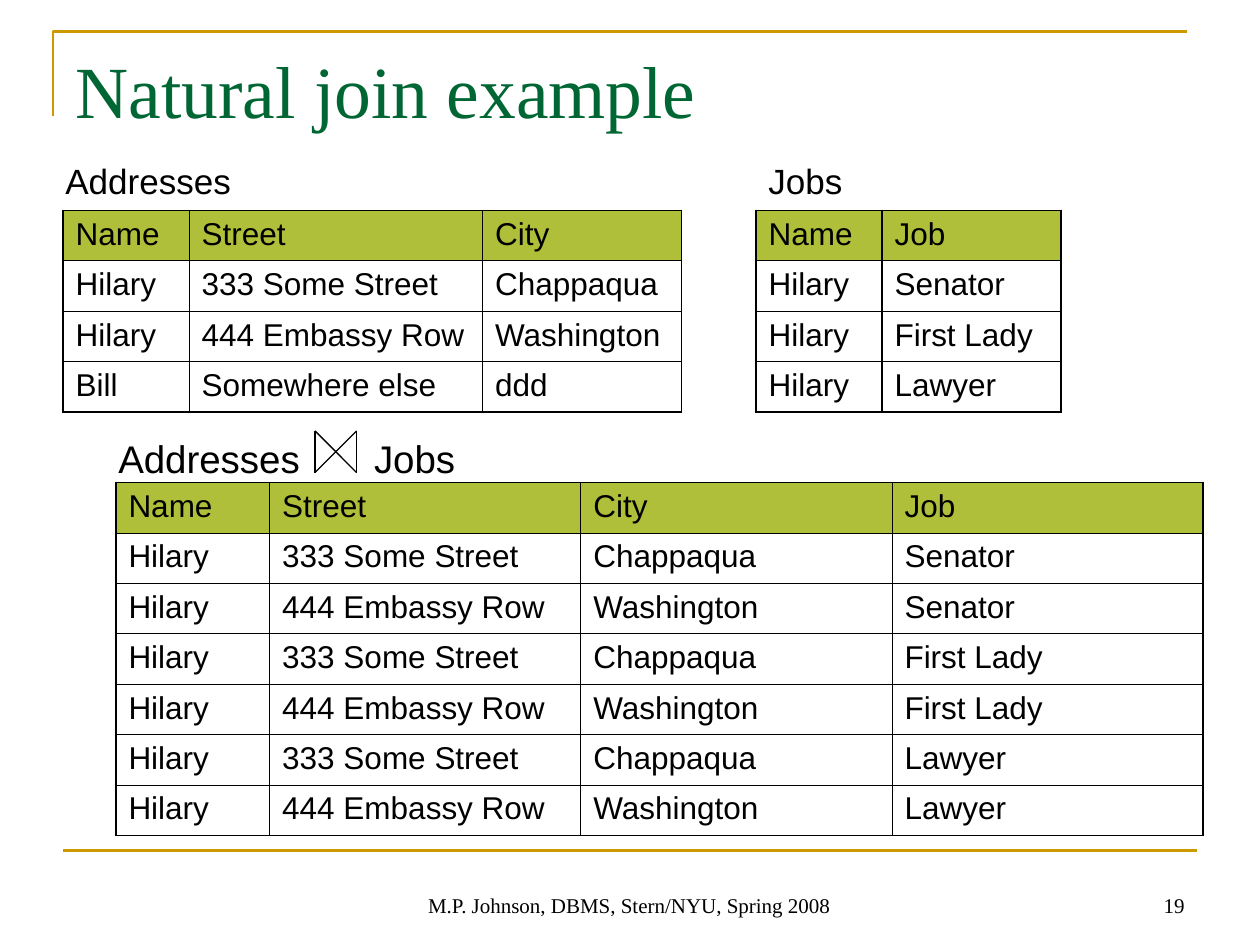
import itertools
from dataclasses import dataclass

import pptx
import pptx.dml.color
import pptx.enum.shapes
import pptx.enum.text
import pptx.oxml
import pptx.oxml.ns
import pptx.util
from pptx.util import Inches

COLORS = {
    "black": "000000",
    "title": "006633",
    "rule": "CC9900",
    "header": "AFBF39",
}
SERIF = "Times New Roman"
SANS = "Arial"
ROW_HEIGHT = 0.4
THIN = 0.45
THICK = 1.08

ALIGN = pptx.enum.text.PP_ALIGN
ANCHOR = pptx.enum.text.MSO_ANCHOR


@dataclass
class Label:
    text: str
    left: float
    top: float
    width: float
    height: float
    size: int
    font: str = SANS
    align: ALIGN = ALIGN.LEFT
    anchor: ANCHOR = ANCHOR.TOP
    tab: float = 0


@dataclass
class Relation:
    left: float
    top: float
    widths: list[float]
    rows: list[tuple[str, ...]]
    divider: float = THIN


ADDRESSES = [
    ("Name", "Street", "City"),
    ("Hilary", "333 Some Street", "Chappaqua"),
    ("Hilary", "444 Embassy Row", "Washington"),
    ("Bill", "Somewhere else", "ddd"),
]
JOBS = [
    ("Name", "Job"),
    ("Hilary", "Senator"),
    ("Hilary", "First Lady"),
    ("Hilary", "Lawyer"),
]
JOINED = [ADDRESSES[0] + JOBS[0][1:]] + [
    address + job[1:]
    for job, address in itertools.product(JOBS[1:], ADDRESSES[1:])
    if address[0] == job[0]
]

RELATIONS = [
    Relation(0.5, 1.67, [1, 2.33, 1.58], ADDRESSES),
    Relation(6, 1.67, [1, 1.42], JOBS, THICK),
    Relation(0.92, 3.83, [1.22, 2.47, 2.47, 2.47], JOINED),
]
LABELS = [
    Label("M.P. Johnson, DBMS, Stern/NYU, Spring 2008", 3.08, 6.83, 3.83, 0.5,
          12, SERIF, ALIGN.CENTER, ANCHOR.BOTTOM),
    Label("19", 7.17, 6.83, 2.33, 0.5, 12, SERIF, ALIGN.RIGHT, ANCHOR.BOTTOM),
    Label("Addresses", 0.42, 1.22, 1.65, 0.44, 20),
    Label("Jobs", 6, 1.22, 0.9, 0.44, 20),
    Label("Addresses\tJobs", 0.84, 3.4, 2.88, 0.47, 22, tab=2.03),
]


def rgb(name: str) -> pptx.dml.color.RGBColor:
    return pptx.dml.color.RGBColor.from_string(COLORS[name])


def add_run(paragraph, text: str, size: int, font: str, color: str) -> None:
    run = paragraph.add_run()
    run.text = text
    run.font.size = pptx.util.Pt(size)
    run.font.name = font
    run.font.color.rgb = rgb(color)


def add_label(slide, label: Label) -> None:
    box = slide.shapes.add_textbox(
        Inches(label.left), Inches(label.top), Inches(label.width), Inches(label.height)
    )
    frame = box.text_frame
    frame.word_wrap = True
    frame.vertical_anchor = label.anchor
    paragraph = frame.paragraphs[0]
    paragraph.alignment = label.align
    if label.tab:
        tabs = pptx.oxml.parse_xml(
            f'<a:tabLst {pptx.oxml.ns.nsdecls("a")}>'
            f'<a:tab pos="{Inches(label.tab)}" algn="l"/></a:tabLst>'
        )
        paragraph._p.get_or_add_pPr().append(tabs)
    add_run(paragraph, label.text, label.size, label.font, "black")


def set_borders(cell, widths: dict[str, float]) -> None:
    properties = cell._tc.get_or_add_tcPr()
    for side, width in widths.items():
        properties.append(pptx.oxml.parse_xml(
            f'<a:ln{side} {pptx.oxml.ns.nsdecls("a")} w="{pptx.util.Pt(width)}">'
            f'<a:solidFill><a:srgbClr val="{COLORS["black"]}"/></a:solidFill>'
            f'</a:ln{side}>'
        ))


def add_relation(slide, relation: Relation) -> None:
    row_count, column_count = len(relation.rows), len(relation.widths)
    table = slide.shapes.add_table(
        row_count, column_count, Inches(relation.left), Inches(relation.top),
        Inches(sum(relation.widths)), Inches(ROW_HEIGHT * row_count),
    ).table
    table.first_row = False
    table.horz_banding = False
    for column, width in zip(table.columns, relation.widths):
        column.width = Inches(width)
    for row_index, values in enumerate(relation.rows):
        table.rows[row_index].height = Inches(ROW_HEIGHT)
        for column_index, value in enumerate(values):
            cell = table.cell(row_index, column_index)
            set_borders(cell, {
                "L": THICK if column_index == 0 else relation.divider,
                "R": THICK if column_index == column_count - 1 else relation.divider,
                "T": THICK if row_index == 0 else THIN,
                "B": THICK if row_index == row_count - 1 else THIN,
            })
            if row_index == 0:
                cell.fill.solid()
                cell.fill.fore_color.rgb = rgb("header")
            else:
                cell.fill.background()
            add_run(cell.text_frame.paragraphs[0], value, 18, SANS, "black")


def add_line(shapes, start: tuple[float, float], end: tuple[float, float],
             color: str, width: float) -> None:
    line = shapes.add_connector(
        pptx.enum.shapes.MSO_CONNECTOR.STRAIGHT, *map(Inches, start + end)
    )
    line.line.color.rgb = rgb(color)
    line.line.width = pptx.util.Pt(width)
    line._element.spPr.append(
        pptx.oxml.parse_xml(f'<a:effectLst {pptx.oxml.ns.nsdecls("a")}/>')
    )


def add_corner_rule(slide) -> None:
    builder = slide.shapes.build_freeform(Inches(0.42), Inches(0.92))
    builder.add_line_segments(
        [(Inches(0.42), Inches(0.25)), (Inches(9.42), Inches(0.25))], close=False
    )
    corner = builder.convert_to_shape()
    corner.shadow.inherit = False
    corner.fill.background()
    corner.line.color.rgb = rgb("rule")
    corner.line.width = pptx.util.Pt(1.5)


def format_title(title) -> None:
    title.left, title.top = Inches(0.5), Inches(0.3)
    title.width, title.height = Inches(9), Inches(0.78)
    frame = title.text_frame
    frame.vertical_anchor = ANCHOR.BOTTOM
    frame.margin_bottom = Inches(0.02)
    frame.auto_size = pptx.enum.text.MSO_AUTO_SIZE.NONE
    paragraph = frame.paragraphs[0]
    paragraph.alignment = ALIGN.LEFT
    add_run(paragraph, "Natural join example", 42, SERIF, "title")


def add_join_symbol(slide) -> None:
    group = slide.shapes.add_group_shape()
    left, right, top, bottom = 2.5, 2.83, 3.42, 3.75
    for start_x, end_x in itertools.product((left, right), repeat=2):
        add_line(group.shapes, (start_x, top), (end_x, bottom), "black", 0.75)


def main() -> None:
    presentation = pptx.Presentation()
    presentation.slide_width = Inches(10)
    presentation.slide_height = Inches(7.5)
    slide = presentation.slides.add_slide(presentation.slide_layouts[5])
    add_corner_rule(slide)
    add_line(slide.shapes, (0.5, 6.75), (9.5, 6.75), "rule", 1.5)
    format_title(slide.shapes.title)
    for relation in RELATIONS:
        add_relation(slide, relation)
    for label in LABELS:
        add_label(slide, label)
    add_join_symbol(slide)
    presentation.save("out.pptx")


if __name__ == "__main__":
    main()
